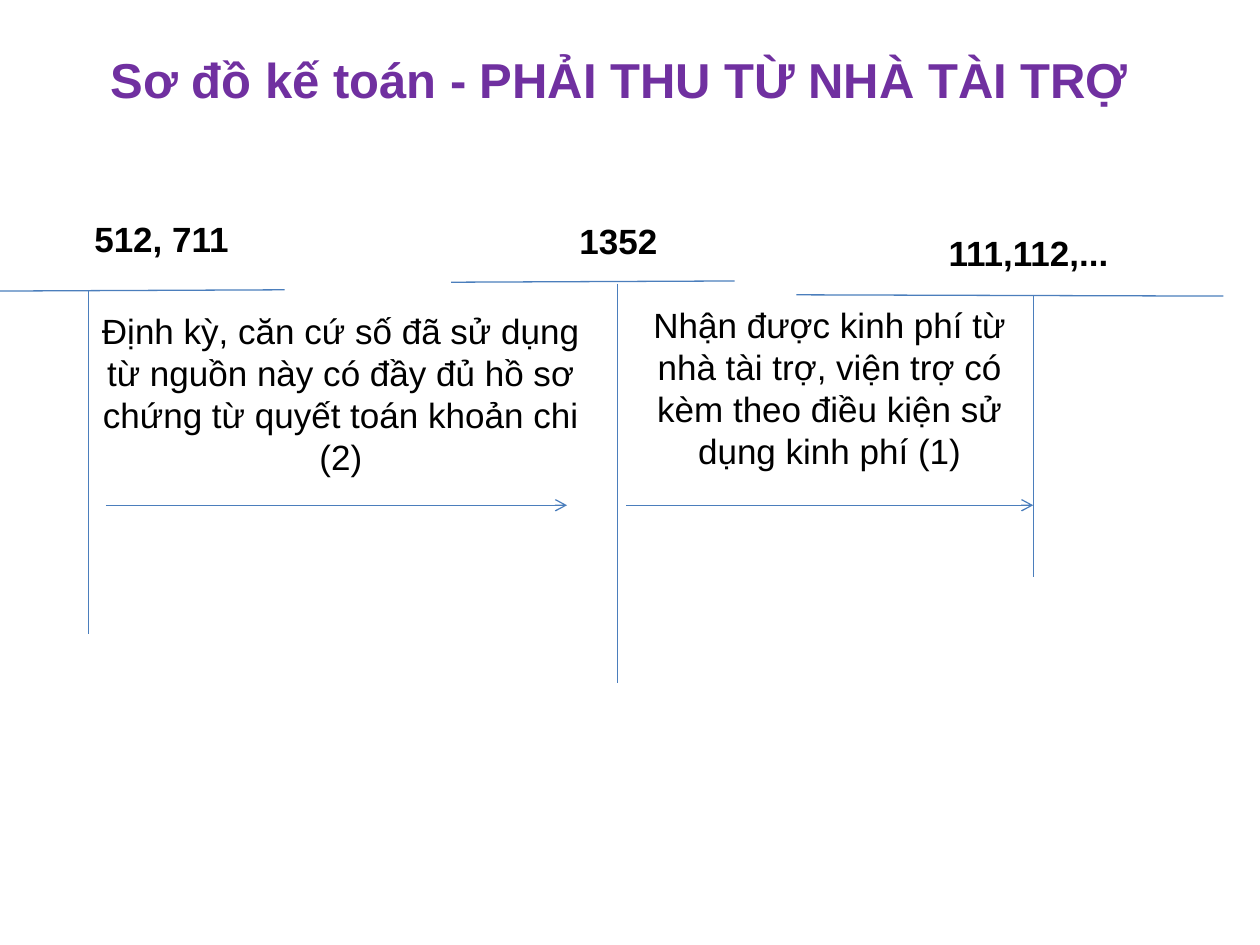
from dataclasses import dataclass

import pptx
import pptx.dml.color
import pptx.enum.shapes
import pptx.enum.text
import pptx.oxml.ns
import pptx.util
from lxml import etree

PX = 9144  # EMU per px, 100 px to the inch
BLUE, BLACK, PURPLE = "4B7EBC", "000000", "7030A0"
ALIGN = pptx.enum.text.PP_ALIGN
ANCHOR = pptx.enum.text.MSO_ANCHOR


@dataclass
class Label:
    text: str
    box: tuple[int, int, int, int]
    bold: bool = False
    center: bool = False
    wrap: bool = True
    size: int = 20
    color: str = BLACK
    bottom: bool = False


@dataclass
class Line:
    start: tuple[int, int]
    end: tuple[int, int]
    arrow: bool = False


def emu(*nums: int) -> list[int]:
    return [num * PX for num in nums]


def paint(code: str) -> pptx.dml.color.RGBColor:
    return pptx.dml.color.RGBColor.from_string(code)


def style(item, form: dict) -> None:
    for key, value in form.items():
        setattr(item, key, value)


def write(slide, label: Label) -> None:
    frame = slide.shapes.add_textbox(*emu(*label.box)).text_frame
    style(frame, {
        "word_wrap": label.wrap,
        "vertical_anchor": ANCHOR.BOTTOM if label.bottom else ANCHOR.TOP,
    })
    para = frame.paragraphs[0]
    para.alignment = ALIGN.CENTER if label.center else ALIGN.LEFT
    run = para.add_run()
    run.text = label.text
    style(run.font, {
        "name": "Arial",
        "size": pptx.util.Pt(label.size),
        "bold": label.bold,
    })
    run.font.color.rgb = paint(label.color)


def draw(slide, line: Line) -> None:
    kind = pptx.enum.shapes.MSO_CONNECTOR.STRAIGHT
    link = slide.shapes.add_connector(kind, *emu(*line.start, *line.end))
    link.line.color.rgb = paint(BLUE)
    link.line.width = pptx.util.Pt(0.75)
    name = pptx.oxml.ns.qn
    if line.arrow:
        stroke = link.line._get_or_add_ln()
        etree.SubElement(stroke, name("a:tailEnd"), type="arrow")
    etree.SubElement(link._element.spPr, name("a:effectLst"))


LINES = [
    # Top bars of the accounts
    Line((0, 231), (226, 230)),
    Line((358, 224), (583, 223)),
    Line((632, 234), (971, 235)),
    # Stems of the accounts
    Line((70, 231), (70, 503)),
    Line((490, 225), (490, 542)),
    Line((820, 234), (820, 458)),
    # Entries between accounts
    Line((84, 401), (450, 401), arrow=True),
    Line((497, 401), (820, 401), arrow=True),
]

LABELS = [
    # Account numbers
    Label("512, 711", (65, 168, 132, 53), bold=True, wrap=False),
    Label("1352", (450, 169, 85, 53), bold=True, wrap=False),
    Label("111,112,...", (743, 179, 196, 53), bold=True),
    # Entry notes
    Label("Nhận được kinh phí từ nhà tài trợ, viện trợ có kèm theo "
          "điều kiện sử dụng kinh phí (1)",
          (497, 236, 323, 177), center=True),
    Label("Định kỳ, căn cứ số đã sử dụng từ nguồn này có đầy đủ hồ sơ "
          "chứng từ quyết toán khoản chi (2)",
          (65, 241, 411, 177), center=True),
    # Title
    Label("Sơ đồ kế toán - PHẢI THU TỪ NHÀ TÀI TRỢ", (22, -11, 939, 102),
          bold=True, center=True, size=28, color=PURPLE, bottom=True),
]


def main() -> None:
    deck = pptx.Presentation()
    deck.slide_width, deck.slide_height = emu(1000, 750)
    slide = deck.slides.add_slide(deck.slide_layouts[6])
    for line in LINES:
        draw(slide, line)
    for label in LABELS:
        write(slide, label)
    deck.save("out.pptx")


if __name__ == "__main__":
    main()
